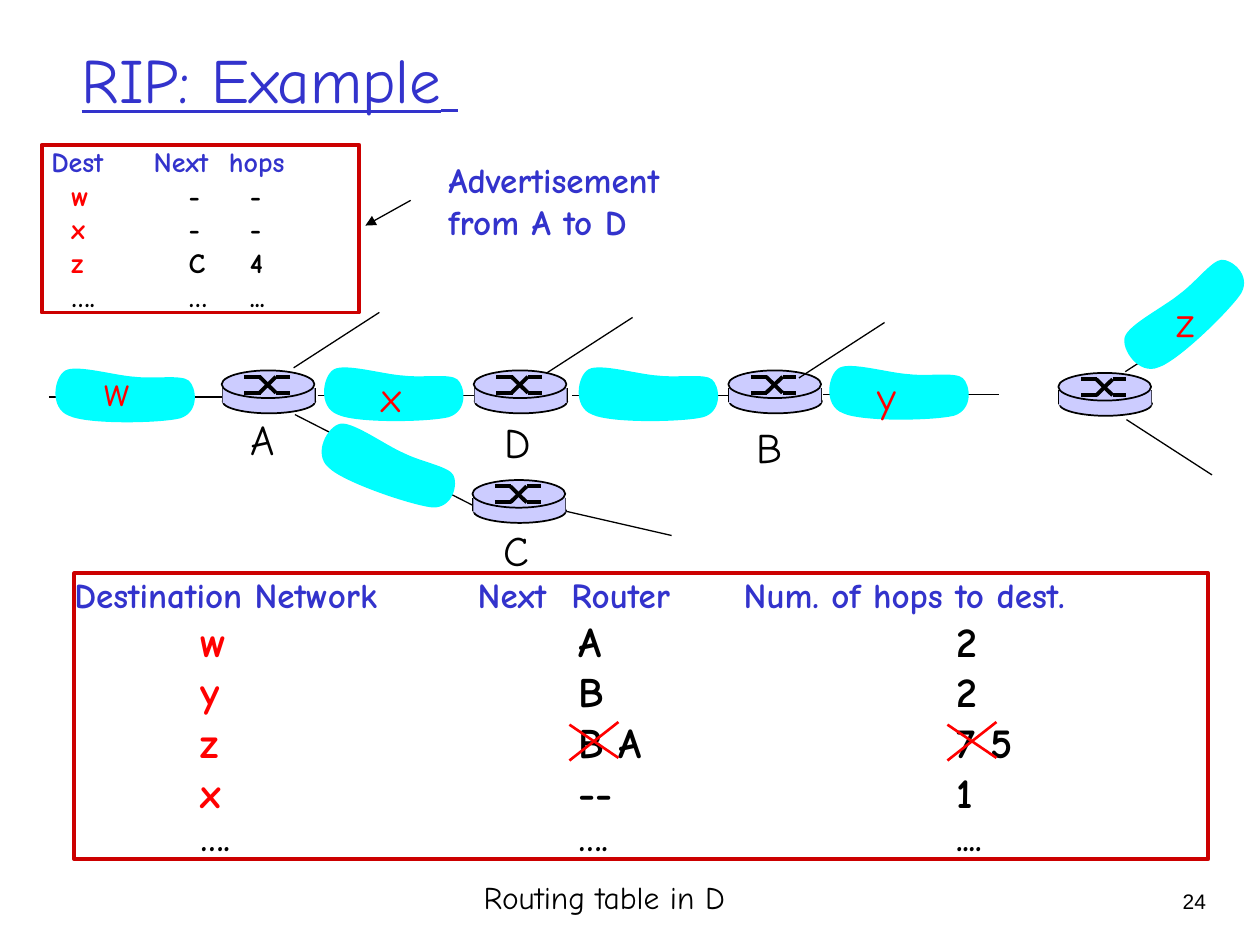
from lxml.etree import SubElement
from pptx import Presentation
from pptx.dml.color import RGBColor
from pptx.enum.shapes import MSO_CONNECTOR, MSO_SHAPE
from pptx.enum.text import MSO_ANCHOR, PP_ALIGN
from pptx.oxml.ns import qn
from pptx.util import Pt

BLACK = RGBColor(0x00, 0x00, 0x00)
BLUE = RGBColor(0x33, 0x33, 0xCC)
RED = RGBColor(0xFF, 0x00, 0x00)
FRAME = RGBColor(0xCC, 0x00, 0x00)
CYAN = RGBColor(0x00, 0xFF, 0xFF)
LILAC = RGBColor(0xCC, 0xCC, 0xFF)
FONT = "Comic Neue"

# Network outline: a start point, then three points for each curve
NETWORK = [(49, 7.2),
           (37.5, 6.5), (15.9, 0), (9.4, 3.6),
           (2.9, 7.2), (0, 25.2), (11.5, 29.5),
           (22.3, 34.6), (63.4, 33.8), (74.9, 31),
           (86.4, 27.4), (84.2, 13), (79.9, 9.4),
           (75.6, 5.8), (60.5, 8.6), (49, 7.2)]


def add_run(p, text, size, color=BLACK, bold=False, font=FONT, underline=False):
    r = p.add_run()
    r.text = text
    r.font.size, r.font.name, r.font.bold = Pt(size), font, bold
    r.font.underline = underline
    r.font.color.rgb = color


def add_text(s, box, lines, size, color=BLACK, bold=False, font=FONT,
             align=PP_ALIGN.LEFT):
    tf = s.shapes.add_textbox(*map(Pt, box)).text_frame
    tf.word_wrap = False
    for i, line in enumerate(lines):
        p = tf.add_paragraph() if i else tf.paragraphs[0]
        p.alignment = align
        add_run(p, line, size, color, bold, font)


def add_line(shapes, x1, y1, x2, y2, width=0.75, color=BLACK, arrow=False):
    line = shapes.add_connector(MSO_CONNECTOR.STRAIGHT,
                                Pt(x1), Pt(y1), Pt(x2), Pt(y2))
    line.line.color.rgb = color
    line.line.width = Pt(width)
    if arrow:
        SubElement(line.line._get_or_add_ln(), qn("a:tailEnd"), type="triangle")
    SubElement(line._element.spPr, qn("a:effectLst"))


def add_shape(shapes, kind, x, y, w, h, fill=None, line=None, width=1):
    sp = shapes.add_shape(kind, Pt(x), Pt(y), Pt(w), Pt(h))
    sp.shadow.inherit = False
    if fill is None:
        sp.fill.background()
    else:
        sp.fill.solid()
        sp.fill.fore_color.rgb = fill
    if line is None:
        sp.line.fill.background()
    else:
        sp.line.color.rgb = line
        sp.line.width = Pt(width)
    return sp


def add_router(s, x, y):
    shapes = s.shapes.add_group_shape().shapes
    # Drum
    add_shape(shapes, MSO_SHAPE.OVAL, x + 0.5, y + 10.8, 53, 13.7, LILAC, BLACK)
    for side in (0.5, 53.2):
        add_line(shapes, x + side, y + 10, x + side, y + 18, 1)
    add_shape(shapes, MSO_SHAPE.RECTANGLE, x + 0.5, y + 10, 52.6, 8.6, LILAC)
    add_shape(shapes, MSO_SHAPE.OVAL, x, y, 53, 15.8, LILAC, BLACK)
    # Crossing paths, one falling and one rising
    for start, end in ((3.6, 12.8), (12.8, 3.6)):
        for x1, y1, x2, y2 in ((13, start, 22.3, start), (31, end, 38.9, end),
                               (21.6, start, 31, end)):
            add_line(shapes, x + x1, y + y1, x + x2, y + y2, 2.25)


def add_network(s, x, y, rotation=0):
    points = [(Pt(px), Pt(py)) for px, py in NETWORK]
    builder = s.shapes.build_freeform(*points[0])
    builder.add_line_segments(points[1:], close=True)
    sp = builder.convert_to_shape(Pt(x), Pt(y))
    # Join each three segments into one curve
    path = sp._element.find(".//" + qn("a:path"))
    segments = path.findall(qn("a:lnTo"))
    for i in range(0, len(segments), 3):
        curve = SubElement(path, qn("a:cubicBezTo"))
        for segment in segments[i:i + 3]:
            curve.append(segment[0])
            path.remove(segment)
    path.append(path.find(qn("a:close")))
    sp.rotation = rotation
    sp.shadow.inherit = False
    sp.fill.solid()
    sp.fill.fore_color.rgb = CYAN
    sp.line.fill.background()


def add_routing_box(s, box, rows, head_tabs, body_tabs):
    """Each row is a list of (text, size, color) runs; the first is the header."""
    sp = add_shape(s.shapes, MSO_SHAPE.RECTANGLE, *box, line=FRAME, width=2.25)
    tf = sp.text_frame
    tf.word_wrap = True
    tf.vertical_anchor = MSO_ANCHOR.TOP
    tf.margin_left = tf.margin_right = tf.margin_top = tf.margin_bottom = 0
    for i, row in enumerate(rows):
        p = tf.add_paragraph() if i else tf.paragraphs[0]
        p.alignment = PP_ALIGN.LEFT
        stops = SubElement(p._p.get_or_add_pPr(), qn("a:tabLst"))
        for pos in body_tabs if i else head_tabs:
            SubElement(stops, qn("a:tab"), pos=str(Pt(pos)), algn="l")
        for text, size, color in row:
            add_run(p, text, size, color, bold=True)


def body_row(size, dest, hop, count, color=RED):
    return [(f"\t{dest}", size, color), (f"\t{hop}\t{count}", size, BLACK)]


def main():
    prs = Presentation()
    prs.slide_width, prs.slide_height = Pt(720), Pt(540)
    s = prs.slides.add_slide(prs.slide_layouts[6])

    # Title, caption and page number
    tf = s.shapes.add_textbox(Pt(39.6), 0, Pt(612), Pt(90)).text_frame
    tf.word_wrap = True
    tf.vertical_anchor = MSO_ANCHOR.MIDDLE
    add_run(tf.paragraphs[0], "RIP: Example", 36, BLUE, underline=True)
    add_run(tf.paragraphs[0], " ", 28, BLUE, underline=True)
    add_text(s, (643, 504, 53.3, 36), ["24"], 12, font="Arial",
             align=PP_ALIGN.RIGHT)
    add_text(s, (269.3, 498.2, 152.6, 29), ["Routing table in D"], 18)

    # Routing table in D
    rows = [[("Destination Network\tNext\tRouter\tNum. of hops to dest.", 20, BLUE)]]
    rows += [body_row(24, *cells) for cells in (
        ("w", "A", "2"), ("y", "B", "2"), ("z", "B A", "7 5"), ("x", "--", "1"))]
    rows.append(body_row(20, "….", "….", "....", BLACK))
    add_routing_box(s, (42.5, 327.6, 648, 163.4), rows,
                    (230.5, 284, 382.5), (72, 288, 504))

    # Links between routers, routers, and spokes
    for x, y in ((28, 226.8), (181.5, 226), (327, 226), (470.2, 225.4)):
        add_line(s.shapes, x, y, x + 100.8, y, 1)
    for x, y in ((126.7, 211.7), (270.7, 211.7), (270, 274.3),
                 (416.2, 211.7), (604.8, 213.1)):
        add_router(s, x, y)
    for x, y in ((167.8, 210.2), (312.5, 213.1), (456.5, 216), (643, 212.4)):
        add_line(s.shapes, x, y, x + 49, y - 31.7)
    add_line(s.shapes, 643.7, 239.8, 692.6, 271.4)
    add_line(s.shapes, 168.5, 236.9, 270, 288.7)
    add_line(s.shapes, 324, 292.3, 383.8, 306)

    # Networks
    for x, y, rotation in ((178.6, 249.1, 19.7), (28, 208.1, 0), (181.5, 207.4, 0),
                           (327, 207.4, 0), (470.2, 206.6, 0), (633.6, 162, 316.8)):
        add_network(s, x, y, rotation)

    # Names of networks and routers
    for name, x, y, color in (
            ("w", 52.6, 204.5, RED), ("x", 211, 208.1, RED),
            ("y", 494.6, 208.1, RED), ("z", 665.3, 165.6, RED),
            ("A", 136.1, 232.6, BLACK), ("C", 280.8, 295.9, BLACK),
            ("D", 281.5, 234.7, BLACK), ("B", 425.5, 237.6, BLACK)):
        add_text(s, (x, y, 28 if color == BLACK else 26, 36), [name], 24, color)

    # Advertisement from A to D
    rows = [[("\tDest\tNext\thops", 16, BLUE)]]
    rows += [body_row(16, *cells) for cells in (
        ("w", "-", "-"), ("x", "-", "-"), ("z", "C", "4"))]
    rows.append(body_row(16, "….", "…", "...", BLACK))
    add_routing_box(s, (23.8, 82.8, 181.4, 95.8), rows,
                    (5.5, 64, 107), (17, 84, 119))
    add_text(s, (249.1, 87.1, 135.4, 55.4), ["Advertisement", "from A to D"],
             20, BLUE, bold=True)
    add_line(s.shapes, 234.7, 114.5, 208.8, 128.9, arrow=True)

    # Crosses over the replaced route to z
    for x, y in ((325.4, 412.6), (541.4, 412.6)):
        add_line(s.shapes, x, y + 1.5, x + 28, y + 20.5, 1.5, RED)
        add_line(s.shapes, x, y + 22, x + 28, y, 1.5, RED)

    prs.save("out.pptx")


if __name__ == "__main__":
    main()
